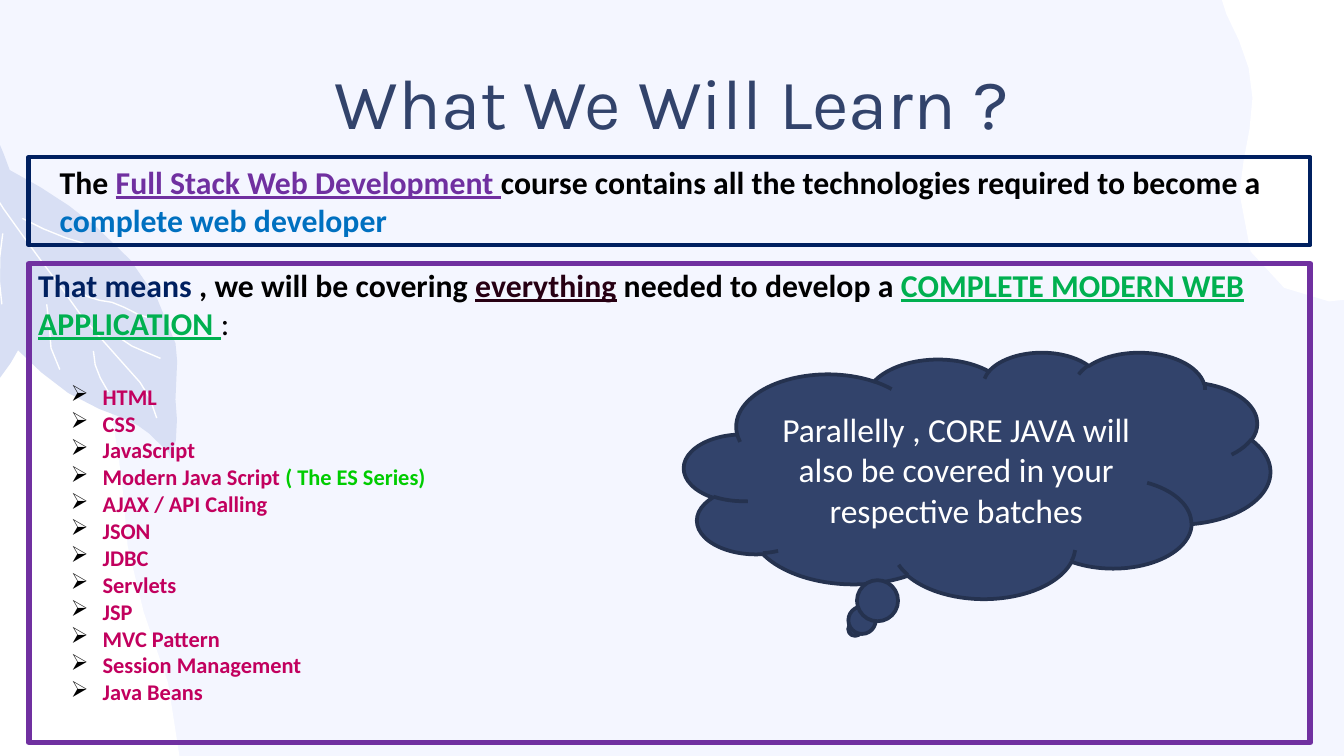
"""Builds the "What We Will Learn ?" course slide."""
from dataclasses import dataclass
from math import cos, radians, sin
from lxml.etree import SubElement
from pptx import Presentation
from pptx.dml.color import RGBColor as Rgb
from pptx.enum.shapes import MSO_SHAPE as Shape
from pptx.enum.text import MSO_ANCHOR as Anchor, PP_ALIGN as Align
from pptx.oxml.ns import qn
from pptx.util import Pt


@dataclass(frozen=True)
class Theme:
    """Colours, fonts and type sizes of the slide."""
    page: str = "F4F6FF"
    white: str = "FFFFFF"
    leaf: str = "D8DFF4"
    indigo: str = "32436B"
    indigo_edge: str = "25324F"
    black: str = "000000"
    navy: str = "002060"
    purple: str = "7030A0"
    blue: str = "0070C0"
    maroon: str = "270013"
    green: str = "00B050"
    lime: str = "00CC00"
    magenta: str = "C2005E"
    heading_font: str = "Karla"
    body_font: str = "Calibri"
    title_size: float = 38
    callout_size: float = 18
    lead_size: float = 17
    item_size: float = 12


BLOB_TURN, LEAF_TURN = 350.6, 135
BLOB = [(-26, 152), (-59, 158), (-114, 176), (-127, 207), (-130, 214), (-135, 217), (-138, 222),
        (-154, 250), (-150, 287), (-134, 324), (-127, 338), (-120, 352), (-120, 369),
        (-120, 386), (-126, 402), (-127, 420), (-129, 457), (-104, 477), (-79, 478),
        (-63, 478), (-48, 471), (-31, 476), (-19, 480), (-9, 486), (3, 484),
        (4, 484), (5, 484), (6, 484), (20, 480), (32, 468), (45, 457),
        (58, 446), (69, 446), (82, 439), (113, 425), (88, 356), (77, 328),
        (63, 292), (69, 258), (60, 222), (50, 174), (30, 151), (-8, 150),
        (-12, 150), (-19, 151), (-26, 152)]
UPPER_LEAF = [(-19, 228), (-21, 230), (-23, 232), (-26, 233), (-26, 232), (-25, 230), (-25, 230),
              (-27, 222), (-27, 217), (-30, 210), (-32, 203), (-36, 197), (-40, 192),
              (-51, 176), (-53, 160), (-57, 141), (-60, 121), (-58, 99), (-49, 81),
              (-44, 69), (-35, 61), (-31, 49), (-28, 41), (-24, 32), (-24, 22),
              (-22, 25), (-22, 30), (-22, 32), (-17, 44), (-10, 55), (-5, 66),
              (2, 82), (9, 99), (13, 116), (19, 138), (19, 165), (10, 187),
              (7, 194), (-1, 203), (-6, 211), (-9, 216), (-14, 223), (-19, 228)]
LOWER_LEAF = [(91, 246), (91, 244), (91, 243), (90, 242), (84, 237), (81, 232), (74, 228),
              (68, 224), (60, 222), (53, 219), (35, 212), (22, 200), (9, 187),
              (-7, 172), (-18, 152), (-23, 130), (-25, 119), (-23, 105), (-27, 93),
              (-30, 84), (-32, 73), (-38, 66), (-35, 66), (-32, 71), (-30, 72),
              (-19, 80), (-6, 84), (5, 91), (22, 100), (37, 109), (52, 122),
              (71, 137), (87, 159), (94, 184), (96, 193), (94, 204), (94, 214),
              (95, 224), (96, 237), (91, 246)]
VEINS = [
    [(84, 224), (81, 212), (76, 205), (68, 197), (55, 182), (42, 169), (32, 153),
     (22, 140), (12, 126), (2, 112), (-2, 106), (-6, 99), (-10, 94),
     (-12, 89), (-13, 82), (-17, 78)],
    [(1, 163), (-1, 151), (-1, 138), (1.5, 125)],
    [(32, 198), (24, 187), (28, 174), (25, 163)],
    [(58, 210), (53, 202), (50, 196), (50, 188)],
    [(64, 181), (69, 186), (80, 189), (86, 192)],
    [(41, 155), (46, 160), (53, 161), (60, 162), (65, 163), (77, 171), (79, 170)],
    [(12, 117), (23, 123), (35, 128), (47, 131)],
]
TOPICS = ["HTML", "CSS", "JavaScript", "Modern Java Script ", "AJAX / API Calling", "JSON",
          "JDBC", "Servlets", "JSP", "MVC Pattern", "Session Management", "Java Beans"]
TOPIC_NOTES = {"Modern Java Script ": "( The ES Series)"}


def trace(knots, steps=3):
    """Return points along a chain of cubic Bezier curves."""
    points = [knots[0]]
    for first in range(0, len(knots) - 1, 3):
        for step in range(1, steps + 1):
            t = step / steps
            weights = ((1 - t) ** 3, 3 * t * (1 - t) ** 2, 3 * t * t * (1 - t), t ** 3)
            curve = knots[first:first + 4]
            points.append(tuple(sum(w * knot[axis] for w, knot in zip(weights, curve))
                                for axis in (0, 1)))
    return points


def rotate(point, degrees):
    """Turn a point clockwise about the page origin."""
    (x, y), angle = point, radians(degrees)
    return x * cos(angle) - y * sin(angle), x * sin(angle) + y * cos(angle)


def unturn(points, degrees):
    """Return the points as they lie in their frame before it is turned."""
    level = [rotate(point, -degrees) for point in points]
    center = [(min(axis) + max(axis)) / 2 for axis in zip(*level)]
    target = rotate(center, degrees)
    return [(x + target[0] - center[0], y + target[1] - center[1]) for x, y in level]


class SlideBuilder:
    """Holds the theme and the current slide."""

    def __init__(self, theme, slide):
        """Keep the style and paint the page."""
        self.theme, self.slide = theme, slide
        slide.background.fill.solid()
        slide.background.fill.fore_color.rgb = Rgb.from_string(theme.page)

    def paint(self, shape, fill=None, line=None, width=0):
        """Set the fill and outline of a shape."""
        shape.shadow.inherit = False
        for part, color in ((shape.fill, fill), (shape.line.fill, line)):
            if color:
                part.solid()
                part.fore_color.rgb = Rgb.from_string(color)
            else:
                part.background()
        if line:
            shape.line.width = Pt(width)

    def curve(self, knots, turn, offset=(0, 0), **style):
        """Draw a curved outline in a turned frame, closed when it is filled."""
        points = [(Pt(x + offset[0]), Pt(y + offset[1])) for x, y in unturn(trace(knots), turn)]
        builder = self.slide.shapes.build_freeform(*points[0])
        builder.add_line_segments(points[1:], close="fill" in style)
        shape = builder.convert_to_shape()
        shape.rotation = turn
        self.paint(shape, **style)

    def shape(self, kind, area, **style):
        """Draw a preset shape."""
        shape = self.slide.shapes.add_shape(kind, *map(Pt, area))
        self.paint(shape, **style)
        return shape

    def text_box(self, area, side=5, edge=2.75, anchor=Anchor.TOP):
        """Add an empty wrapping text box and return its frame."""
        frame = self.slide.shapes.add_textbox(*map(Pt, area)).text_frame
        frame.word_wrap = True
        frame.vertical_anchor = anchor
        frame.margin_left = frame.margin_right = Pt(side)
        frame.margin_top = frame.margin_bottom = Pt(edge)
        return frame

    def spans(self, para, parts, size, font=None, bold=True, align=Align.LEFT):
        """Write (text, colour, underline, bold) spans into a paragraph."""
        para.alignment = align
        for text, color, *flags in parts:
            underline, heavy = (flags + [False, bold][len(flags):])[:2]
            span = para.add_run()
            span.text = text
            span.font.name = font or self.theme.body_font
            span.font.size = Pt(size)
            span.font.bold = heavy
            span.font.underline = underline
            span.font.color.rgb = Rgb.from_string(color)

    def bullet(self, frame, parts, space_before=0):
        """Add an arrow-bulleted paragraph."""
        para = frame.add_paragraph()
        para.space_before = Pt(space_before)
        props = para._p.get_or_add_pPr()
        props.set("marL", str(Pt(34.5)))
        props.set("indent", str(Pt(-17)))
        color = SubElement(SubElement(props, qn("a:buClr")), qn("a:srgbClr"))
        color.set("val", self.theme.black)
        SubElement(props, qn("a:buChar")).set("char", "➢")
        self.spans(para, parts, self.theme.item_size)


def main():
    """Build and save the deck."""
    deck = Presentation()
    deck.slide_width, deck.slide_height = Pt(720), Pt(405)
    theme = Theme()
    page = SlideBuilder(theme, deck.slides.add_slide(deck.slide_layouts[6]))

    for offset in ((0, 0), (791, -316.5)):
        page.curve(BLOB, BLOB_TURN, offset, fill=theme.white)
    for leaf in (UPPER_LEAF, LOWER_LEAF):
        page.curve(leaf, LEAF_TURN, fill=theme.leaf)
    for vein in VEINS:
        page.curve(vein, LEAF_TURN, line=theme.white, width=0.75)

    title = page.text_box((56, 31.75, 608, 45.25), 0, 0, Anchor.BOTTOM)
    page.spans(title.paragraphs[0], [("What We Will Learn ?", theme.indigo)],
               theme.title_size, theme.heading_font, False, Align.CENTER)

    intro = page.text_box((27, 84.5, 670, 47))
    page.spans(intro.paragraphs[0], [
        ("The ", theme.black),
        ("Full Stack Web Development ", theme.purple, True),
        ("course contains all the technologies required to become a ", theme.black),
        ("complete web developer", theme.blue)], theme.lead_size)
    page.shape(Shape.RECTANGLE, (15.25, 84.25, 686.75, 47), line=theme.navy, width=2.25)

    content = page.text_box((15.5, 139.5, 684, 248))
    page.spans(content.paragraphs[0], [
        ("That means ", theme.navy),
        (", we will be covering ", theme.black),
        ("everything", theme.maroon, True),
        (" needed to develop a ", theme.black),
        ("COMPLETE MODERN WEB APPLICATION ", theme.green, True),
        (":", theme.black, False, False)], theme.lead_size)
    for index, topic in enumerate(TOPICS):
        parts = [(topic, theme.magenta)]
        if topic in TOPIC_NOTES:
            parts.append((TOPIC_NOTES[topic], theme.lime))
        page.bullet(content, parts, 0 if index else 22)
    page.shape(Shape.RECTANGLE, (15.5, 141.25, 686.5, 256.5), line=theme.purple, width=3)

    cloud = page.shape(Shape.CLOUD_CALLOUT, (366.5, 188.5, 314, 132),
                       fill=theme.indigo, line=theme.indigo_edge, width=2)
    cloud.text_frame.word_wrap = True
    cloud.text_frame.vertical_anchor = Anchor.MIDDLE
    page.spans(cloud.text_frame.paragraphs[0], [
        ("Parallelly , CORE JAVA will also be covered in your respective batches", theme.white)],
        theme.callout_size, bold=False, align=Align.CENTER)
    deck.save("out.pptx")


if __name__ == "__main__":
    main()
